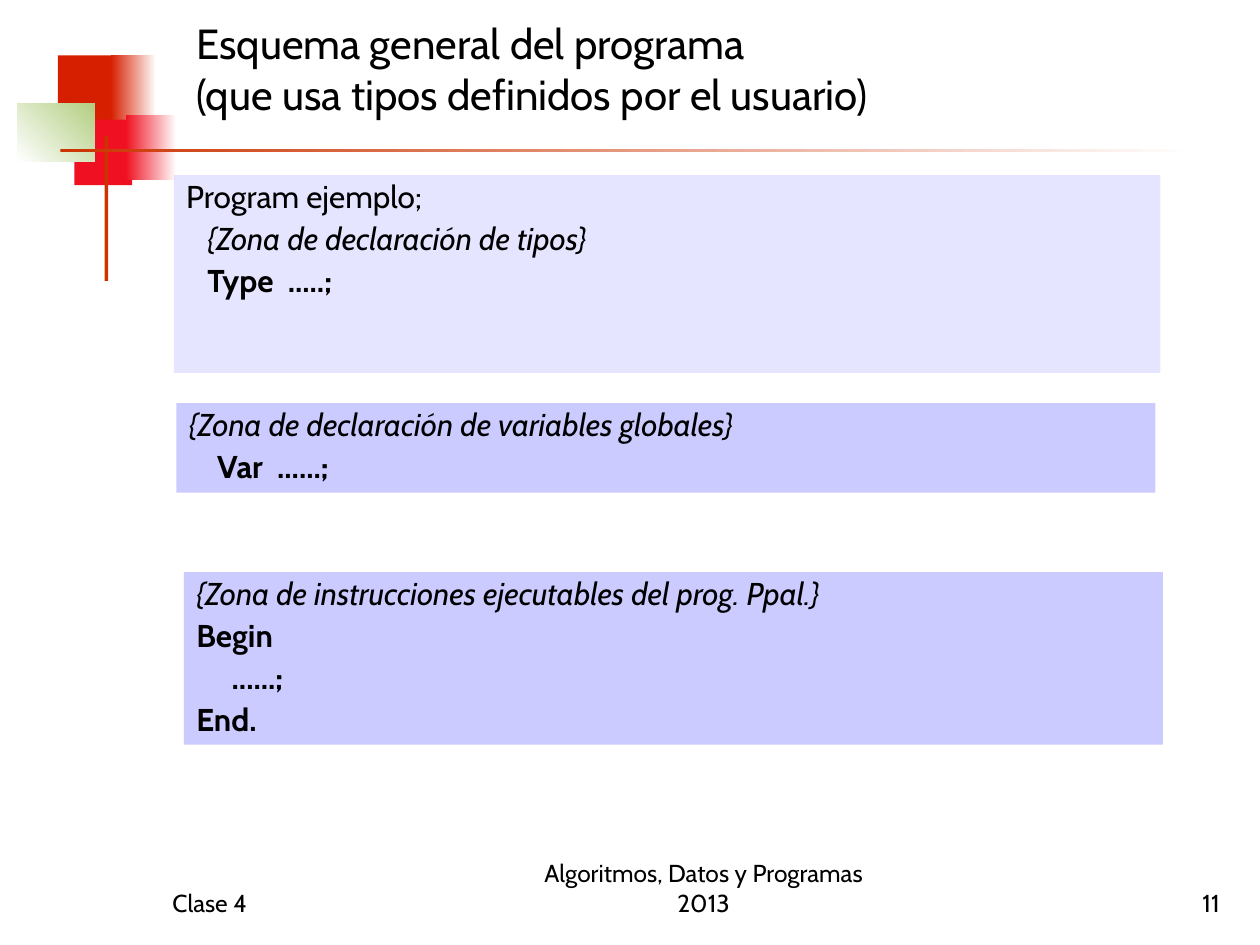
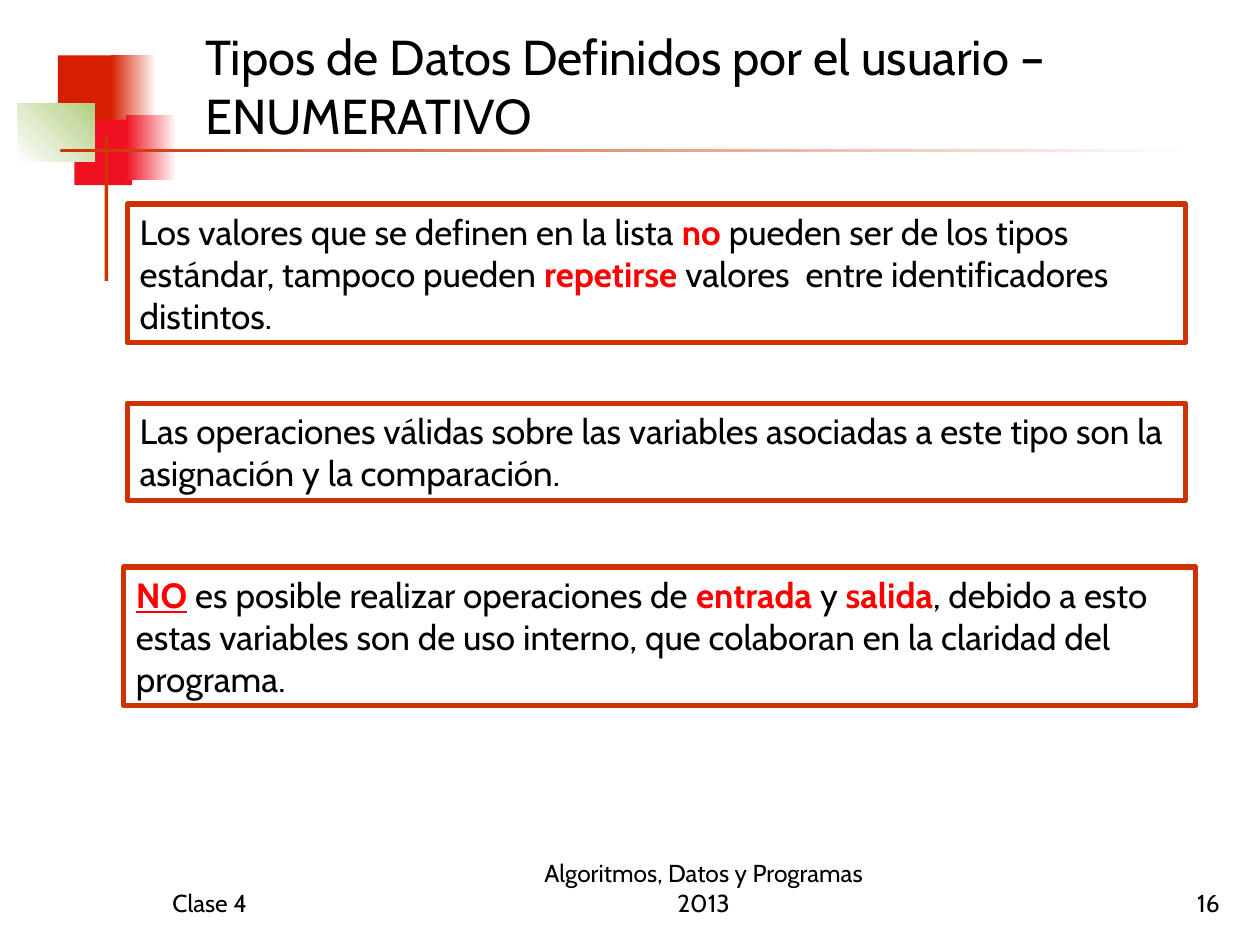
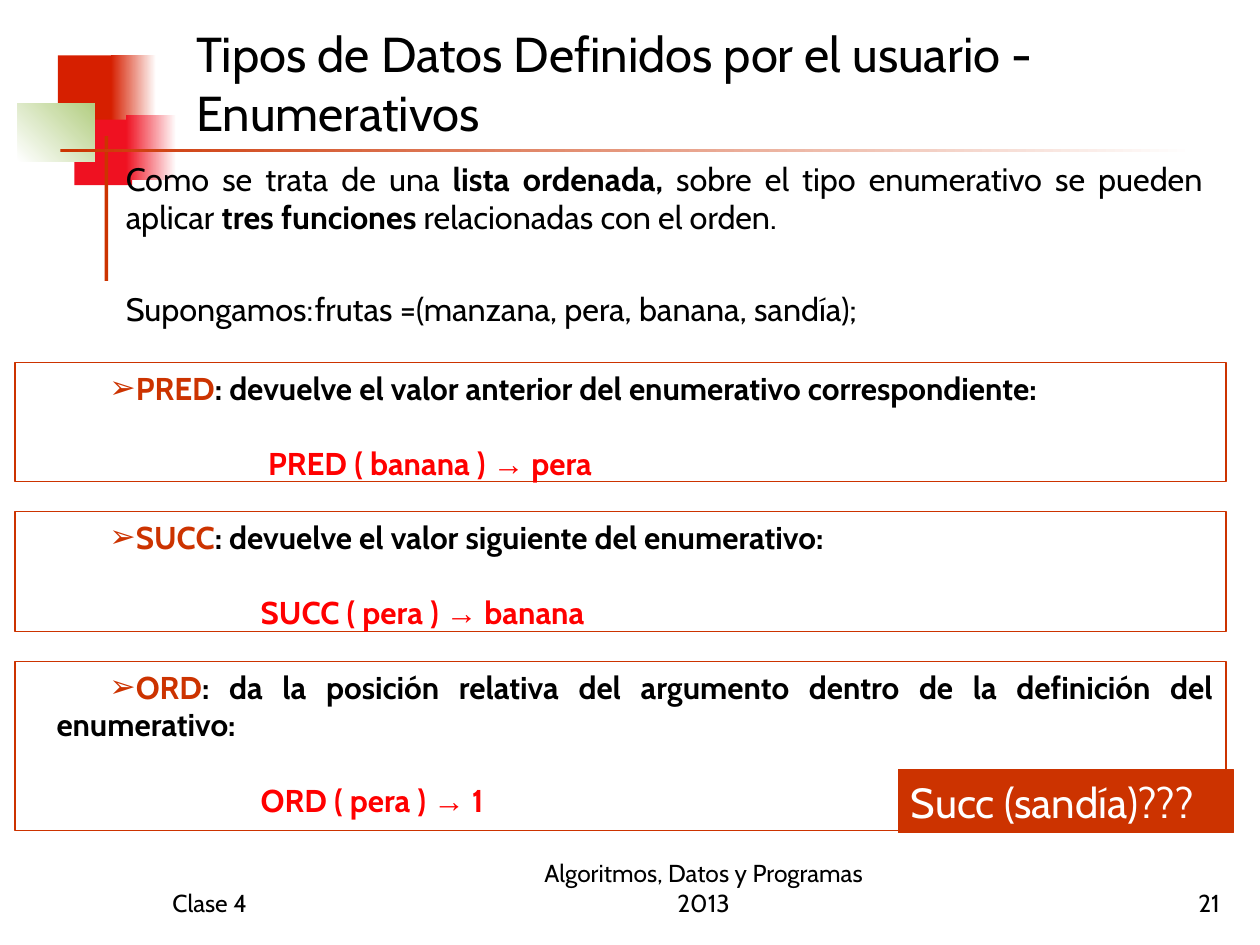
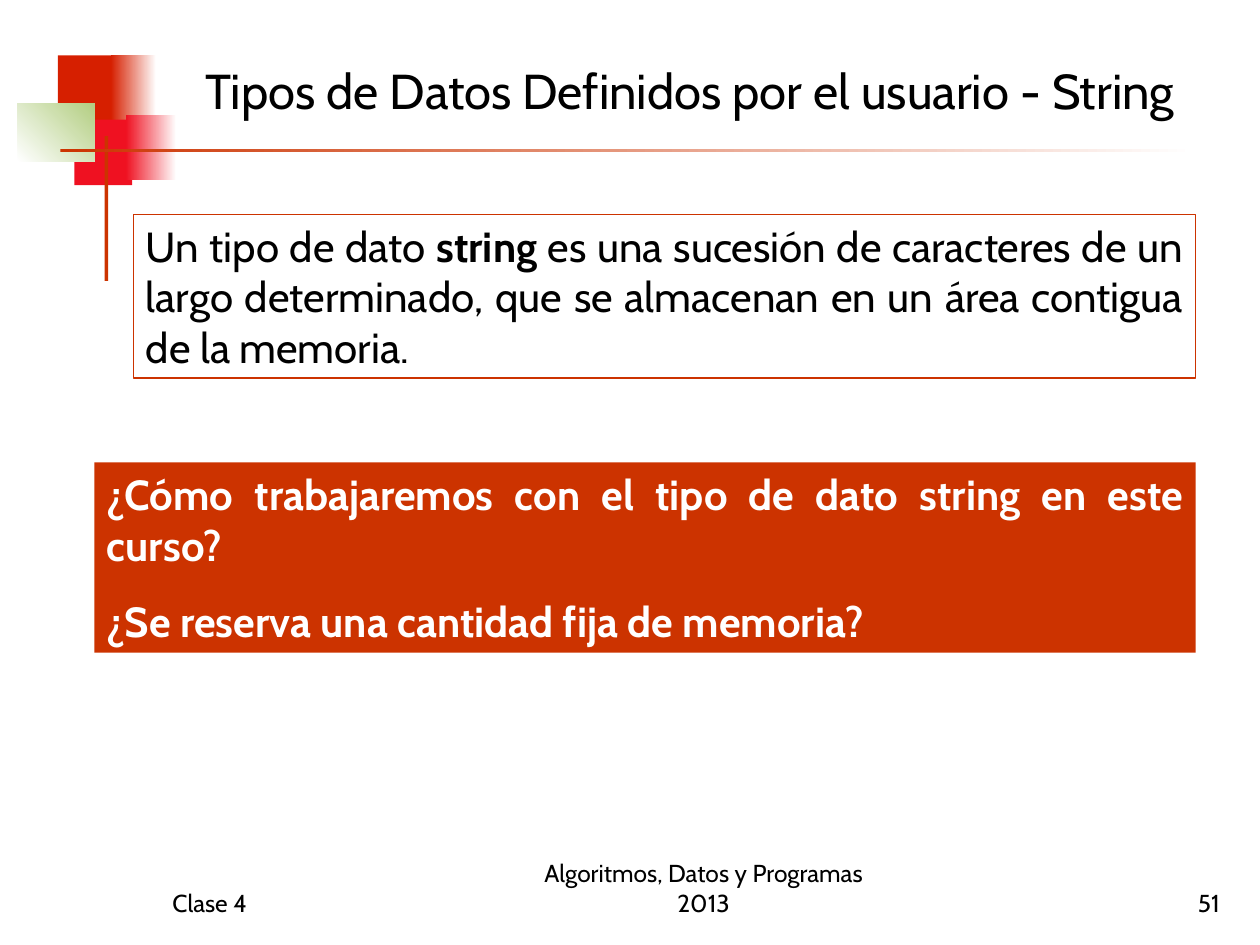
from lxml.etree import SubElement
from pptx import Presentation
from pptx.dml.color import RGBColor
from pptx.enum.shapes import MSO_SHAPE
from pptx.enum.text import MSO_ANCHOR, PP_ALIGN
from pptx.oxml.ns import qn
from pptx.util import Inches, Pt

FONT = "Cabin"
BLACK = RGBColor(0x00, 0x00, 0x00)
WHITE = RGBColor(0xFF, 0xFF, 0xFF)
RUST = RGBColor(0xCC, 0x33, 0x00)
RED = RGBColor(0xFF, 0x00, 0x00)
BRICK = RGBColor(0xD6, 0x1F, 0x00)
CRIMSON = RGBColor(0xEF, 0x11, 0x21)
GREEN = RGBColor(0xB3, 0xCE, 0x82)
LAVENDER = RGBColor(0xCC, 0xCC, 0xFF)
PERIWINKLE = RGBColor(0x99, 0x99, 0xFF)

BOLD = {"bold": True}
PLAIN_ITALIC = {"italic": True}
HIGHLIGHT = {"bold": True, "color": RED}

# left, top, width, height, first colour, last colour, gradient angle
ORNAMENTS = [
    (0.46, 0.44, 0.48, 0.52, BRICK, None, 0),
    (0.88, 0.44, 0.36, 0.52, BRICK, WHITE, 0),
    (0.59, 0.95, 0.46, 0.52, CRIMSON, None, 0),
    (1.0, 0.91, 0.4, 0.52, CRIMSON, WHITE, 0),
    (0.14, 0.82, 0.61, 0.46, WHITE, GREEN, 45),
    (0.83, 1.08, 0.03, 1.15, RUST, None, 0),
    (0.48, 1.18, 9.0, 0.03, RUST, WHITE, 0),
]


def add_rectangle(page, left, top, width, height, fill=None, line=None,
                  line_width=0.75, fade_to=None, angle=0, alpha=None):
    """Add a shadowless rectangle; fade_to makes a gradient, alpha is in percent."""
    box = page.shapes.add_shape(MSO_SHAPE.RECTANGLE, Inches(left), Inches(top),
                                Inches(width), Inches(height))
    box.shadow.inherit = False
    if fade_to is not None:
        box.fill.gradient()
        box.fill.gradient_angle = angle
        for stop, color in zip(box.fill.gradient_stops, (fill, fade_to)):
            stop.color.rgb = color
    elif fill is not None:
        box.fill.solid()
        box.fill.fore_color.rgb = fill
        if alpha is not None:
            color_element = box.fill._xPr.find(".//" + qn("a:srgbClr"))
            SubElement(color_element, qn("a:alpha"), val=str(alpha * 1000))
    else:
        box.fill.background()
    if line is None:
        box.line.fill.background()
    else:
        box.line.color.rgb = line
        box.line.width = Pt(line_width)
    return box


def write(box, paragraphs, size=18, color=BLACK, bold=False, align=PP_ALIGN.LEFT,
          anchor=MSO_ANCHOR.TOP, gap=0, spacing=1.0, margin=0, indent=0,
          bullet=None, tab=None):
    """Fill a box with paragraphs, each a list of strings or (string, format) spans.

    A format in first place of a paragraph overrides gap, margin, indent, bullet, tab.
    """
    frame = box.text_frame
    frame.word_wrap = True
    frame.vertical_anchor = anchor
    for number, spans in enumerate(paragraphs):
        layout = {"gap": gap, "margin": margin, "indent": indent,
                  "bullet": bullet, "tab": tab}
        if isinstance(spans[0], dict):
            layout.update(spans[0])
            spans = spans[1:]
        para = frame.add_paragraph() if number else frame.paragraphs[0]
        para.alignment = align
        para.line_spacing = spacing
        para.space_before = Pt(layout["gap"] if number else 0)
        properties = para._p.get_or_add_pPr()
        properties.set("marL", str(Inches(layout["margin"])))
        properties.set("indent", str(Inches(layout["indent"])))
        if layout["bullet"]:
            bullet_color = SubElement(properties, qn("a:buClr"))
            SubElement(bullet_color, qn("a:srgbClr"), val=str(RUST))
            SubElement(properties, qn("a:buFont"), typeface="Arial")
            SubElement(properties, qn("a:buChar"), char=layout["bullet"])
        else:
            SubElement(properties, qn("a:buNone"))
        if layout["tab"]:
            tabs = SubElement(properties, qn("a:tabLst"))
            SubElement(tabs, qn("a:tab"), pos=str(Inches(layout["tab"])), algn="l")
        for span in spans:
            text, style = (span, {}) if isinstance(span, str) else span
            for index, piece in enumerate(text.split("\n")):
                if index:
                    para.add_line_break()
                run = para.add_run()
                run.text = piece
                run.font.name = style.get("font", FONT)
                run.font.size = Pt(size)
                run.font.bold = style.get("bold", bold)
                run.font.italic = style.get("italic", False)
                run.font.underline = style.get("underline", False)
                run.font.color.rgb = style.get("color", color)


deck = Presentation()
deck.slide_width = Inches(10)
deck.slide_height = Inches(7.5)

# Shared parts: slide number, title, title place, title size, title anchor
HEADINGS = [
    ("11", "Esquema general del programa\n(que usa tipos definidos por el usuario)",
     (1.46, 0.36, 8.27, 0.63), 24, MSO_ANCHOR.BOTTOM),
    ("16", "Tipos de Datos Definidos por el usuario –\nENUMERATIVO",
     (1.53, 0.05, 8.19, 1.25), 28, MSO_ANCHOR.MIDDLE),
    ("21", "Tipos de Datos Definidos por el usuario - Enumerativos",
     (1.46, 0.25, 8.0, 0.92), 28, MSO_ANCHOR.BOTTOM),
    ("51", "Tipos de Datos Definidos por el usuario - String",
     (1.53, 0.25, 8.08, 0.92), 28, MSO_ANCHOR.MIDDLE),
]
pages = []
for slide_number, title, place, title_size, title_anchor in HEADINGS:
    page = deck.slides.add_slide(deck.slide_layouts[6])
    pages.append(page)
    for left, top, width, height, first, last, angle in ORNAMENTS:
        add_rectangle(page, left, top, width, height, fill=first, fade_to=last, angle=angle)
    title_box = page.shapes.add_textbox(*map(Inches, place))
    write(title_box, [[title]], size=title_size, anchor=title_anchor)
    for text, left, width, align in [
        ("Clase 4", 1.27, 2.08, PP_ALIGN.LEFT),
        ("Algoritmos, Datos y Programas 2013", 4.0, 3.17, PP_ALIGN.CENTER),
        (slide_number, 7.7, 2.08, PP_ALIGN.RIGHT),
    ]:
        footer = page.shapes.add_textbox(Inches(left), Inches(6.83), Inches(width), Inches(0.5))
        write(footer, [[text]], size=14, align=align, anchor=MSO_ANCHOR.BOTTOM)
program_page, rules_page, functions_page, string_page = pages

# Program outline
PROGRAM_ZONES = [
    ((1.38, 1.39, 7.83, 1.57), LAVENDER, [
        ["Program ejemplo;"],
        [("   {Zona de declaración de tipos}", PLAIN_ITALIC)],
        [("   Type  .....;", BOLD)],
    ]),
    ((1.4, 3.2, 7.77, 0.71), PERIWINKLE, [
        [("{Zona de declaración de variables globales}", PLAIN_ITALIC)],
        [("    Var  ......;", BOLD)],
    ]),
    ((1.46, 4.54, 7.77, 1.37), PERIWINKLE, [
        [("{Zona de instrucciones ejecutables del prog. Ppal.}", PLAIN_ITALIC)],
        [("Begin", BOLD)],
        [("     ......;", BOLD)],
        [("End.", BOLD)],
    ]),
]
for place, fill, code_lines in PROGRAM_ZONES:
    zone = add_rectangle(program_page, *place, fill=fill, alpha=50)
    write(zone, code_lines, gap=4.5, spacing=0.9)

# Rules of enumerated types
RULES = [
    ((1.01, 1.62, 8.4, 1.1), [
        "Los valores que se definen en la lista ", ("no", HIGHLIGHT),
        " pueden ser de los tipos estándar, tampoco pueden ", ("repetirse", HIGHLIGHT),
        " valores  entre identificadores distintos.",
    ]),
    ((1.01, 3.2, 8.4, 0.77), [
        "Las operaciones válidas sobre las variables asociadas a este tipo son la "
        "asignación y la comparación.",
    ]),
    ((0.98, 4.5, 8.51, 1.1), [
        ("NO", {**HIGHLIGHT, "underline": True}), " es posible realizar operaciones de ",
        ("entrada", HIGHLIGHT), " y ", ("salida", HIGHLIGHT),
        ", debido a esto estas variables son de uso interno, que colaboran en la "
        "claridad del programa.",
    ]),
]
for place, spans in RULES:
    rule = add_rectangle(rules_page, *place, line=RUST, line_width=3)
    write(rule, [spans], size=20)

# Functions on enumerated types
intro = functions_page.shapes.add_textbox(Inches(0.9), Inches(1.21), Inches(8.74), Inches(1.59))
write(intro, [
    ["Como se trata de una ", ("lista ordenada,", BOLD),
     " sobre el tipo enumerativo se pueden aplicar ", ("tres funciones", BOLD),
     " relacionadas con el orden."],
    [{"gap": 30, "tab": 1.71}, "Supongamos:\tfrutas =(manzana, pera, banana, sandía);"],
], size=18.5, align=PP_ALIGN.JUSTIFY)

FUNCTIONS = [
    (2.88, 0.94, "PRED", ": devuelve el valor anterior del enumerativo correspondiente:",
     "banana", "pera", 1.91),
    (4.06, 0.95, "SUCC", ": devuelve el valor siguiente del enumerativo:",
     "pera", "banana", 1.85),
    (5.25, 1.34, "ORD",
     ": da la posición relativa del argumento dentro de la definición del enumerativo:",
     "pera", "1", 1.85),
]
for top, height, name, meaning, argument, result, example_margin in FUNCTIONS:
    card = add_rectangle(functions_page, 0.12, top, 9.61, height, line=RUST)
    write(card, [
        [{"margin": 0.23, "indent": 0.42, "bullet": "➢"}, (name, {"color": RUST}), meaning],
        [{"gap": 21.5, "margin": example_margin},
         (f"{name} ( {argument} ) ", HIGHLIGHT),
         ("→", {**HIGHLIGHT, "font": "Arial"}),
         (f" {result}", HIGHLIGHT)],
    ], bold=True, align=PP_ALIGN.JUSTIFY)

question = add_rectangle(functions_page, 7.13, 6.11, 2.66, 0.5, fill=RUST, line=RUST)
write(question, [["Succ (sandía)???"]], size=24, color=WHITE)

# Strings
definition = add_rectangle(string_page, 1.06, 1.7, 8.43, 1.3, line=RUST)
write(definition, [[
    "Un tipo de dato ", ("string", BOLD),
    " es una sucesión de caracteres de un largo determinado, que se almacenan en un "
    "área contigua de la memoria.",
]], size=24, align=PP_ALIGN.JUSTIFY)

questions = add_rectangle(string_page, 0.75, 3.67, 8.74, 1.51, fill=RUST)
write(questions, [
    ["¿Cómo trabajaremos con el tipo de dato string en este curso?"],
    ["¿Se reserva una cantidad fija de memoria?"],
], size=24, color=WHITE, bold=True, align=PP_ALIGN.JUSTIFY, gap=15)

deck.save("out.pptx")
